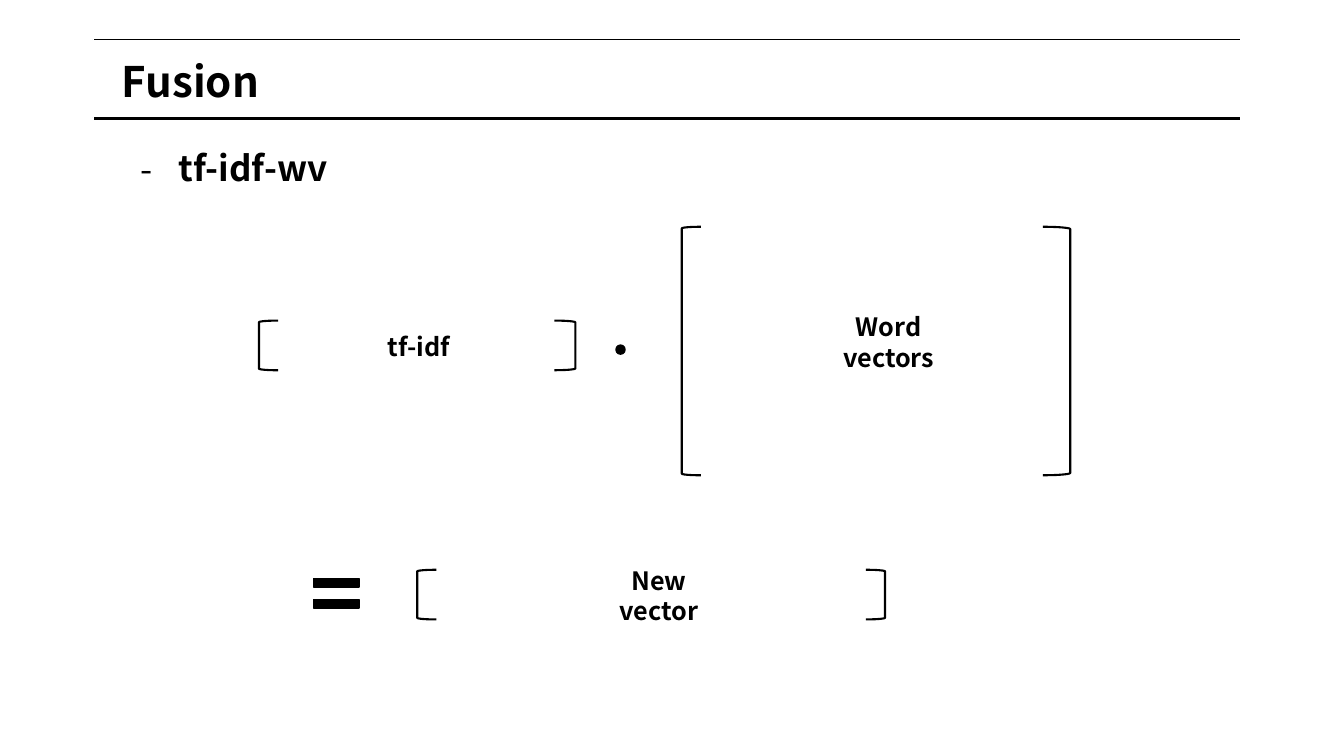
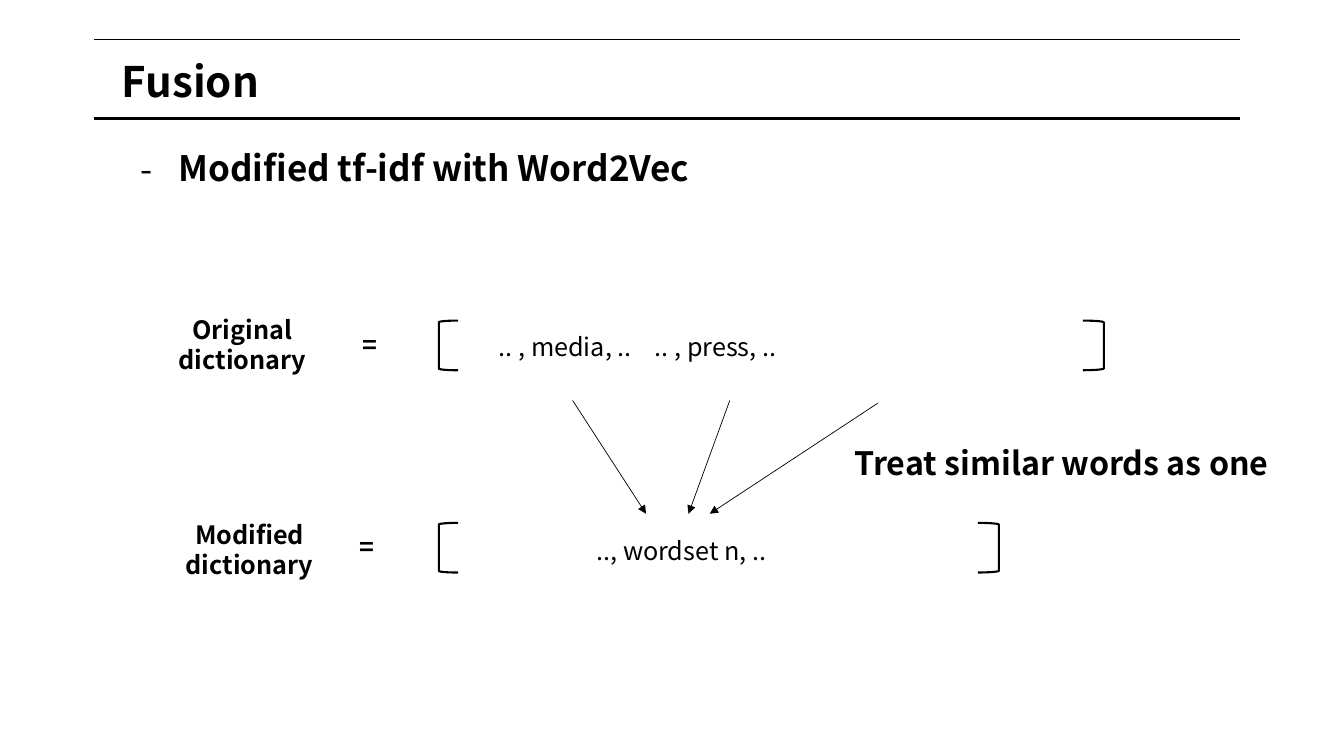
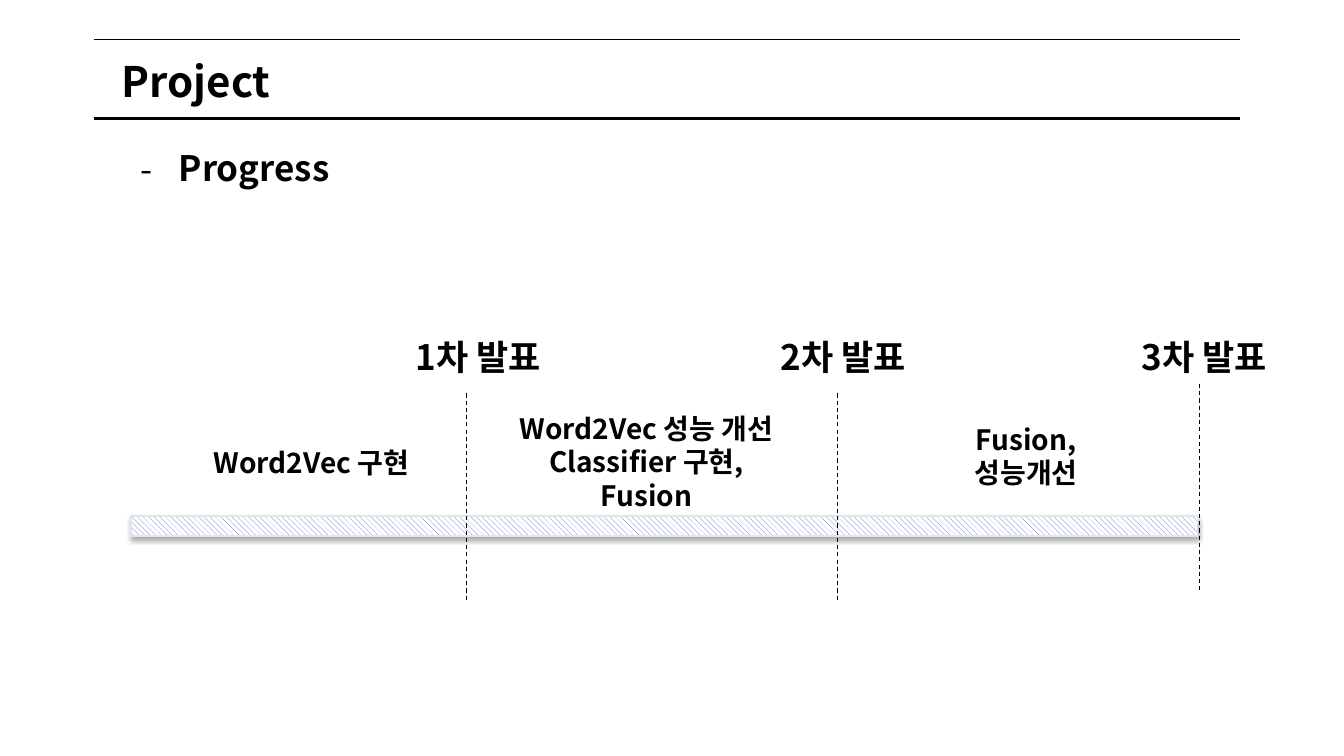
"""Build three slides on fusing tf-idf with word vectors and on project progress."""
from lxml import etree
from pptx import Presentation
from pptx.dml.color import RGBColor
from pptx.enum.dml import MSO_LINE, MSO_PATTERN
from pptx.enum.shapes import MSO_CONNECTOR, MSO_SHAPE
from pptx.enum.text import MSO_ANCHOR, MSO_AUTO_SIZE, PP_ALIGN
from pptx.oxml.ns import qn
from pptx.util import Pt

LEFT, CENTER = PP_ALIGN.LEFT, PP_ALIGN.CENTER
MIDDLE, GROW = MSO_ANCHOR.MIDDLE, MSO_AUTO_SIZE.SHAPE_TO_FIT_TEXT
OPENING, CLOSING = MSO_SHAPE.LEFT_BRACKET, MSO_SHAPE.RIGHT_BRACKET
DOT, EQUALS, BAR = MSO_SHAPE.OVAL, MSO_SHAPE.MATH_EQUAL, MSO_SHAPE.RECTANGLE
STRAIGHT, DASH = MSO_CONNECTOR.STRAIGHT, MSO_LINE.DASH
DIAGONAL = MSO_PATTERN.WIDE_DOWNWARD_DIAGONAL
FONT = "Noto Sans CJK KR"
BLACK, WHITE, BLUE, GRAY = "000000", "FFFFFF", "4472C4", "E7E6E6"


def paint(fill, color):
    """Fill an area, a line or letters with one colour."""
    fill.solid()
    fill.fore_color.rgb = RGBColor.from_string(color)


def write(frame, text, size=18, bold=True, align=CENTER):
    """Write each line of the text as a paragraph and return the first one."""
    for number, line in enumerate(text.split("\n")):
        paragraph = frame.add_paragraph() if number else frame.paragraphs[0]
        paragraph.alignment = align
        run = paragraph.add_run()
        run.text = line
        paint(run.font.fill, BLACK)
        for name, value in {"name": FONT, "size": Pt(size), "bold": bold}.items():
            setattr(run.font, name, value)
        etree.SubElement(run.font._element, qn("a:ea"), typeface=FONT)
    return frame.paragraphs[0]


deck = Presentation()
deck.slide_width, deck.slide_height = Pt(960), Pt(540)

headings = [
    ("Fusion", "tf-idf-wv"),
    ("Fusion", "Modified tf-idf with Word2Vec"),
    ("Project", "Progress"),
]
title_edges = {"lnL": (WHITE, 1), "lnR": (WHITE, 1), "lnT": (BLACK, 1), "lnB": (BLACK, 2.25)}
slides = []
for title, topic in headings:
    slide = deck.slides.add_slide(deck.slide_layouts[6])
    slides.append(slide)

    band = slide.shapes.add_table(1, 1, Pt(66.5), Pt(28.3), Pt(819.5), Pt(56.2)).table
    band.first_row = band.horz_banding = False
    cell = band.cell(0, 0)
    cell.fill.background()
    cell_format = {"vertical_anchor": MIDDLE, "margin_left": Pt(20.6), "margin_right": Pt(8.6)}
    for name, value in cell_format.items():
        setattr(cell, name, value)
    write(cell.text_frame, title, size=30, align=LEFT)
    cell_properties = cell._tc.get_or_add_tcPr()
    for position, (edge, (color, width)) in enumerate(title_edges.items()):
        border = etree.Element(qn(f"a:{edge}"), w=str(Pt(width)))
        border_fill = etree.SubElement(border, qn("a:solidFill"))
        etree.SubElement(border_fill, qn("a:srgbClr"), val=color)
        cell_properties.insert(position, border)

    topic_box = slide.shapes.add_textbox(Pt(93.6), Pt(100.8), Pt(773), Pt(37.4))
    topic_box.text_frame.word_wrap = True
    bullet = write(topic_box.text_frame, topic, size=25, align=LEFT)._p.get_or_add_pPr()
    bullet.set("marL", str(Pt(27)))
    bullet.set("indent", str(-Pt(27)))
    etree.SubElement(bullet, qn("a:buFont"), typeface=FONT)
    etree.SubElement(bullet, qn("a:buChar"), char="-")

vector_slide, dictionary_slide, progress_slide = slides

matrices = [
    (vector_slide, 229, 35.5, 185, 396, 15),
    (vector_slide, 162, 177.5, 487, 745, 19.5),
    (vector_slide, 407, 35.5, 298, 618.5, 13.7),
    (dictionary_slide, 229, 35.5, 313.5, 773.5, 15),
    (dictionary_slide, 373.5, 35.5, 313.5, 698.5, 15),
]
for slide, top, height, opening_left, closing_left, closing_width in matrices:
    for kind, left, width in ((OPENING, opening_left, 13.7), (CLOSING, closing_left, closing_width)):
        bracket = slide.shapes.add_shape(kind, Pt(left), Pt(top), Pt(width), Pt(height))
        bracket.shadow.inherit = False
        bracket.fill.background()
        paint(bracket.line.fill, BLACK)
        bracket.line.width = Pt(1.5)

for kind, left, top, width, height, adjustments in (
    (DOT, 440, 246.5, 6.5, 6.5, ()),
    (EQUALS, 218.2, 404, 44, 39.6, (0.15, 0.23)),
):
    operator = vector_slide.shapes.add_shape(kind, Pt(left), Pt(top), Pt(width), Pt(height))
    operator.shadow.inherit = False
    paint(operator.fill, BLACK)
    paint(operator.line.fill, BLACK)
    operator.line.width = Pt(1)
    for number, value in enumerate(adjustments):
        operator.adjustments[number] = value

timeline = progress_slide.shapes.add_shape(BAR, Pt(93.6), Pt(368.6), Pt(762), Pt(14.4))
timeline.fill.patterned()
timeline.fill.pattern = DIAGONAL
timeline.fill.fore_color.rgb = RGBColor.from_string(BLUE)
timeline.fill.back_color.rgb = RGBColor.from_string(WHITE)
paint(timeline.line.fill, GRAY)
timeline.line.width = Pt(1)
effects = etree.SubElement(timeline._element.spPr, qn("a:effectLst"))
shadow = etree.SubElement(
    effects, qn("a:outerShdw"), blurRad=str(Pt(3.5)), dist=str(Pt(2.2)), dir="5400000", rotWithShape="0"
)
shadow_color = etree.SubElement(shadow, qn("a:srgbClr"), val=BLACK)
etree.SubElement(shadow_color, qn("a:alpha"), val="32000")

arrow = {"width": Pt(0.5)}
milestone = {"width": Pt(0.75), "dash_style": DASH}
connections = [
    (dictionary_slide, 409, 286, 461.5, 367, arrow),
    (dictionary_slide, 521.3, 286, 491.8, 367, arrow),
    (dictionary_slide, 627, 288, 507, 367, arrow),
    (progress_slide, 333.4, 281, 333.4, 430, milestone),
    (progress_slide, 598.3, 281, 598.3, 430, milestone),
    (progress_slide, 856.8, 274.3, 856.8, 423.3, milestone),
]
for slide, start_x, start_y, end_x, end_y, line_format in connections:
    link = slide.shapes.add_connector(STRAIGHT, Pt(start_x), Pt(start_y), Pt(end_x), Pt(end_y))
    paint(link.line.fill, BLACK)
    for name, value in line_format.items():
        setattr(link.line, name, value)
    if line_format is arrow:
        etree.SubElement(link.line._get_or_add_ln(), qn("a:tailEnd"), type="triangle")
    etree.SubElement(link._element.spPr, qn("a:effectLst"))

plain = {"bold": False, "align": LEFT}
stage = {"size": 20}
labels = [
    (vector_slide, 246.2, 233.3, 106, 28.8, "tf-idf", {}),
    (vector_slide, 581.8, 219, 106, 51, "Word vectors", {}),
    (vector_slide, 417.6, 400.3, 106, 51, "New vector", {}),
    (dictionary_slide, 120.2, 221, 106, 51, "Original\ndictionary", {}),
    (dictionary_slide, 236.2, 231.8, 55.4, 28.8, "=", {}),
    (dictionary_slide, 349.2, 233.3, 286, 28.8, ".. , media, ..\t.. , press, ..", plain),
    (dictionary_slide, 125.3, 367.2, 106, 51, "Modified\ndictionary", {}),
    (dictionary_slide, 234.7, 375.8, 55.4, 28.8, "=", {}),
    (dictionary_slide, 419, 378.7, 160.6, 28.8, ".., wordset n, ..", plain),
    (dictionary_slide, 603.4, 313.2, 315.4, 35.3, "Treat similar words as one", {"size": 23, "align": LEFT}),
    (progress_slide, 123.8, 314.6, 197.3, 31.7, "Word2Vec 구현", stage),
    (progress_slide, 357.8, 290.2, 208, 80, "Word2Vec 성능 개선\nClassifier 구현,\nFusion", stage),
    (progress_slide, 634.3, 298, 197.3, 55.4, "Fusion,\n성능개선", stage),
]
for number, left in enumerate((276.5, 537.1, 794.9), start=1):
    labels.append((progress_slide, left, 236.2, 130.3, 37.4, f"{number}차 발표", {"size": 25}))

for slide, left, top, width, height, text, text_format in labels:
    label = slide.shapes.add_textbox(Pt(left), Pt(top), Pt(width), Pt(height))
    for name, value in {"word_wrap": True, "auto_size": GROW}.items():
        setattr(label.text_frame, name, value)
    paragraph = write(label.text_frame, text, **text_format)
    if "\t" in text:
        tabs = etree.SubElement(paragraph._p.get_or_add_pPr(), qn("a:tabLst"))
        etree.SubElement(tabs, qn("a:tab"), pos=str(Pt(111.4)), algn="l")

deck.save("out.pptx")
